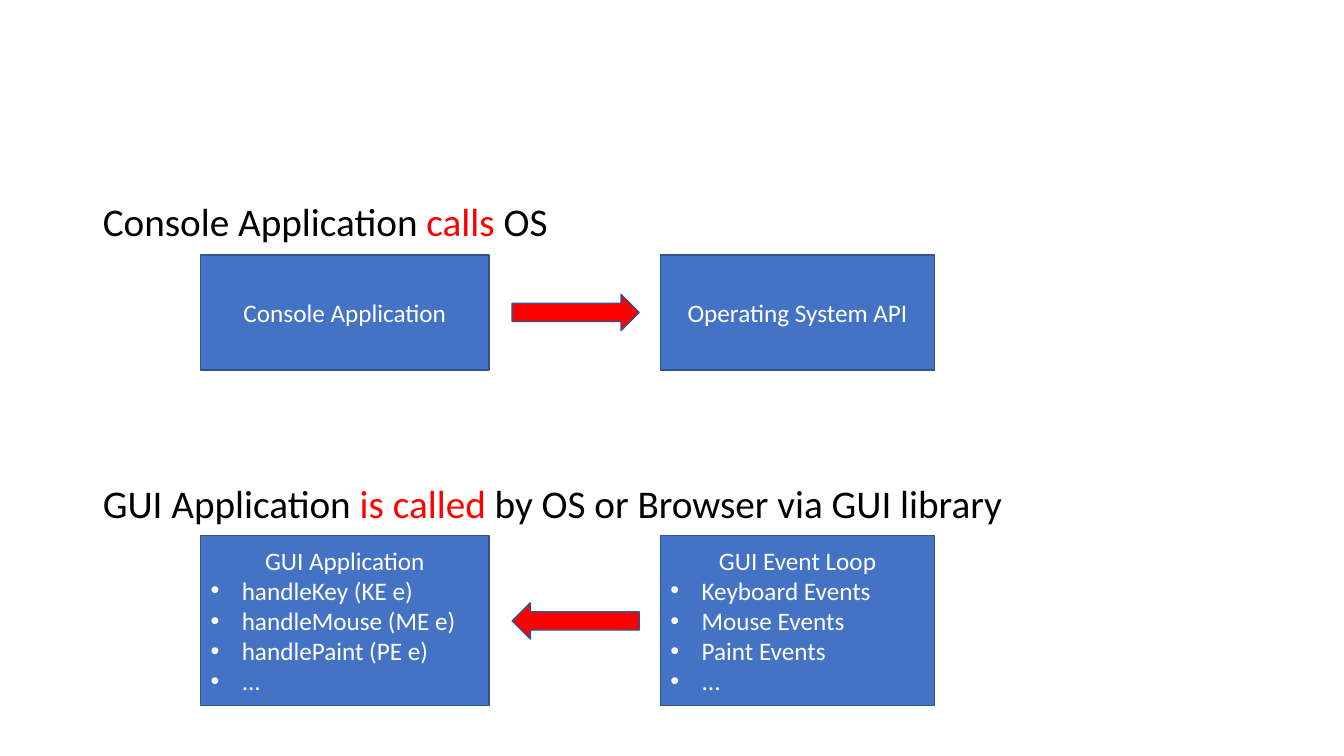
from lxml import etree
from pptx import Presentation
from pptx.dml.color import RGBColor
from pptx.enum.shapes import MSO_SHAPE as Shape
from pptx.enum.text import MSO_ANCHOR as Anchor, MSO_AUTO_SIZE as AutoSize, PP_ALIGN as Align
from pptx.oxml.ns import qn
from pptx.util import Inches, Pt


def color(hex_text):
    return RGBColor.from_string(hex_text)


def set_bullet(paragraph, character=None, indent=0):
    """Give the paragraph a hanging bullet, or none without a character."""
    properties = paragraph._p.get_or_add_pPr()
    properties.set("marL", str(Inches(indent)))
    properties.set("indent", str(-Inches(indent)))
    if character:
        etree.SubElement(properties, qn("a:buFont"), typeface="Arial")
        etree.SubElement(properties, qn("a:buChar"), char=character)
    else:
        etree.SubElement(properties, qn("a:buNone"))


class SlideBuilder:
    FONT = "Calibri"
    BLACK, WHITE, RED = "000000", "FFFFFF", "FF0000"
    BLUE, OUTLINE = "4472C4", "325491"

    def __init__(self, slide):
        self.slide = slide

    def style_text(self, paragraph, size, font_color):
        paragraph.font.name = self.FONT
        paragraph.font.size = Pt(size)
        paragraph.font.color.rgb = color(font_color)

    def body(self, left, top, width, height, statements):
        """Fill the body with (space before, start, red words, end) statements."""
        body = self.slide.placeholders[1]
        body.left, body.top = Inches(left), Inches(top)
        body.width, body.height = Inches(width), Inches(height)
        frame = body.text_frame
        frame.auto_size = AutoSize.NONE
        frame.vertical_anchor = Anchor.TOP
        for index, (space, *parts) in enumerate(statements):
            paragraph = frame.add_paragraph() if index else frame.paragraphs[0]
            paragraph.line_spacing = 0.9
            paragraph.space_before = Pt(space)
            set_bullet(paragraph)
            self.style_text(paragraph, 28, self.BLACK)
            for part, part_color in zip(parts, (self.BLACK, self.RED, self.BLACK)):
                run = paragraph.add_run()
                run.text = part
                run.font.color.rgb = color(part_color)

    def shape(self, kind, left, top, width, height, fill):
        shape = self.slide.shapes.add_shape(
            kind, Inches(left), Inches(top), Inches(width), Inches(height))
        shape.shadow.inherit = False
        shape.fill.solid()
        shape.fill.fore_color.rgb = color(fill)
        shape.line.color.rgb = color(self.OUTLINE)
        shape.line.width = Pt(1)
        return shape

    def box(self, left, top, width, height, heading, items=()):
        box = self.shape(Shape.RECTANGLE, left, top, width, height, self.BLUE)
        frame = box.text_frame
        frame.word_wrap = True
        frame.vertical_anchor = Anchor.MIDDLE
        for index, text in enumerate((heading, *items)):
            paragraph = frame.add_paragraph() if index else frame.paragraphs[0]
            paragraph.text = text
            paragraph.alignment = Align.LEFT if index else Align.CENTER
            self.style_text(paragraph, 18, self.WHITE)
            if index:
                set_bullet(paragraph, "•", 0.31)

    def arrow(self, left, top, rotation=0):
        arrow = self.shape(Shape.RIGHT_ARROW, left, top, 1.26, 0.36, self.RED)
        arrow.rotation = rotation


def main():
    presentation = Presentation()
    presentation.slide_width = Inches(13.33)
    presentation.slide_height = Inches(7.5)
    slide = presentation.slides.add_slide(presentation.slide_layouts[1])
    title = slide.shapes.title
    title.element.getparent().remove(title.element)

    builder = SlideBuilder(slide)
    builder.body(0.92, 1.96, 11.5, 5.3, [
        (10, "Console Application ", "calls", " OS"),
        (171, "GUI Application ", "is called", " by OS or Browser via GUI library"),
    ])

    rows = [
        (2.53, 1.14, 2.92, 0, ("Console Application",), ("Operating System API",)),
        (5.31, 1.69, 5.98, 180,
         ("GUI Application",
          ["handleKey (KE e)", "handleMouse (ME e)", "handlePaint (PE e)", "..."]),
         ("GUI Event Loop",
          ["Keyboard Events", "Mouse Events", "Paint Events", "..."])),
    ]
    for top, height, arrow_top, rotation, application, system in rows:
        builder.box(1.99, top, 2.86, height, *application)
        builder.box(6.55, top, 2.72, height, *system)
        builder.arrow(5.08, arrow_top, rotation)

    presentation.save("out.pptx")


if __name__ == "__main__":
    main()
